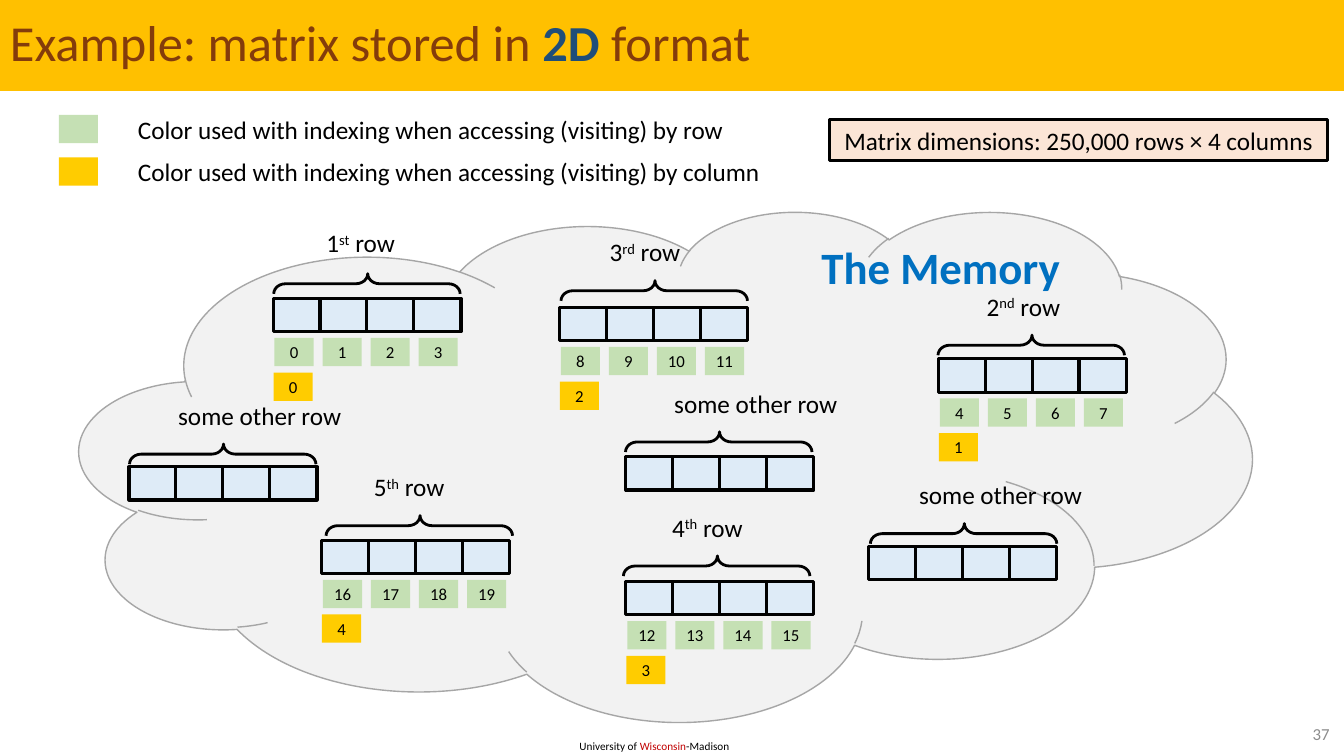
from pptx import Presentation
from pptx import util as u
from pptx.dml.color import RGBColor
from pptx.enum import shapes, text

BLACK = RGBColor(0, 0, 0)
AMBER = RGBColor(0xFF, 0xC0, 0x00)
BROWN = RGBColor(0x84, 0x3C, 0x0B)
NAVY = RGBColor(0x1F, 0x4E, 0x79)
BLUE = RGBColor(0x00, 0x70, 0xC0)
RED = RGBColor(0xC0, 0x00, 0x00)
GREY = RGBColor(0x8C, 0x8C, 0x8C)
CLOUD_FILL = RGBColor(0xF2, 0xF2, 0xF2)
CLOUD_EDGE = RGBColor(0xA6, 0xA6, 0xA6)
CELL = RGBColor(0xDE, 0xEB, 0xF7)
BY_ROW = RGBColor(0xC5, 0xE0, 0xB4)
BY_COLUMN = RGBColor(0xFF, 0xCC, 0x00)
PEACH = RGBColor(0xFB, 0xE5, 0xD6)

RECT = shapes.MSO_SHAPE.RECTANGLE
LEFT, CENTER, RIGHT = text.PP_ALIGN.LEFT, text.PP_ALIGN.CENTER, text.PP_ALIGN.RIGHT
TOP, MIDDLE = text.MSO_ANCHOR.TOP, text.MSO_ANCHOR.MIDDLE

deck = Presentation()
deck.slide_width, deck.slide_height = u.Pt(960), u.Pt(540)
slide = deck.slides.add_slide(deck.slide_layouts[6])


def draw(kind, x, y, w, h, fill=None, edge=None, weight=2.25):
    part = slide.shapes.add_shape(kind, u.Pt(x), u.Pt(y), u.Pt(w), u.Pt(h))
    part.shadow.inherit = False
    if fill is None:
        part.fill.background()
    else:
        part.fill.solid()
        part.fill.fore_color.rgb = fill
    if edge is None:
        part.line.fill.background()
    else:
        part.line.color.rgb = edge
        part.line.width = u.Pt(weight)
    return part


def write(*pieces, at=None, host=None, size=18, color=BLACK, bold=False,
          align=LEFT, anchor=TOP, wrap=True, spacing=None):
    if host is None:
        host = slide.shapes.add_textbox(*[u.Pt(v) for v in at])
    frame = host.text_frame
    frame.word_wrap = wrap
    frame.vertical_anchor = anchor
    line = frame.paragraphs[0]
    line.alignment = align
    line.line_spacing = spacing
    for piece in pieces:
        words, style = (piece, {}) if isinstance(piece, str) else piece
        run = line.add_run()
        run.text = words
        run.font.name = "Calibri"
        run.font.size = u.Pt(size)
        run.font.bold = style.get("bold", bold)
        run.font.color.rgb = style.get("color", color)
        if style.get("raised"):
            run.font._element.set("baseline", "30000")


write("University of ", ("Wisconsin", {"color": RED}), "-Madison",
      at=(406.8, 524.2, 123.8, 17), size=8)
draw(shapes.MSO_SHAPE.CLOUD, 56.9, 150.5, 837.4, 364.3, CLOUD_FILL, CLOUD_EDGE, 1)
title = draw(RECT, 0, 0, 960, 65, AMBER)
write("Example: matrix stored in ", ("2D", {"color": NAVY, "bold": True}), " format",
      host=title, size=36, color=BROWN, anchor=MIDDLE, spacing=0.9)
write("37", at=(902.2, 513.4, 54.7, 20.9), size=12, color=GREY, align=RIGHT, anchor=MIDDLE)

write("The Memory", at=(579.6, 167.8, 186.5, 46), size=32, color=BLUE, bold=True, wrap=False)
dimensions = draw(RECT, 592.6, 85.7, 355.7, 28.8, PEACH, BLACK)
write("Matrix dimensions: 250,000 rows × 4 columns",
      host=dimensions, align=CENTER, anchor=MIDDLE, wrap=False)

legend = [("row", BY_ROW), ("column", BY_COLUMN)]
for i, (order, swatch) in enumerate(legend):
    draw(RECT, 42, 82 + 30.4 * i, 28, 20.2, swatch)
    write(f"Color used with indexing when accessing (visiting) by {order}",
          at=(91.4, 77.8 + 30.4 * i, 466, 28.8))

OTHER = ("some other row",)
matrix_rows = [
    (("1", "st"), (195.1, 213.1), (226.1, 159.1), (254.9, 136.1), 0),
    (("2", "nd"), (670.3, 256.3), (697.7, 204.5), (729.4, 180), 1),
    (("3", "rd"), (399.6, 219.6), (428.4, 165.6), (460.1, 141.1), 2),
    (("4", "th"), (447.1, 415.4), (473, 362.2), (504.7, 337.7), 3),
    (("5", "th"), (229.7, 385.9), (259.9, 333.4), (292.3, 308.9), 4),
    (OTHER, (92.2, 333.4), (120.2, 282.2), (151.9, 257.8), None),
    (OTHER, (447.1, 326.2), (474.5, 273.6), (506.2, 249.1), None),
    (OTHER, (620.6, 390.2), (649.4, 339.1), (681.1, 314.6), None),
]
for label, (x, y), (label_x, label_y), (brace_x, brace_y), index in matrix_rows:
    for column in range(4):
        draw(RECT, x + 33.5 * column, y, 33.8, 23.8, CELL, BLACK)
    brace = draw(shapes.MSO_SHAPE.LEFT_BRACE, brace_x, brace_y, 14.4, 133.2, None, BLACK, 2)
    brace.rotation = 90
    brace.adjustments[0], brace.adjustments[1] = 0.585, 0.496
    if index is None:
        write(*label, at=(label_x, label_y, 132.5, 28.8), wrap=False)
        continue
    number, suffix = label
    write(number, (suffix, {"raised": True}), " row",
          at=(label_x, label_y, 67, 28.8), wrap=False)
    tags = [(1 + 34.3 * c, 28.2, BY_ROW, 4 * index + c) for c in range(4)]
    tags.append((0.3, 53, BY_COLUMN, index))
    for dx, dy, fill, value in tags:
        tag = draw(RECT, x + dx, y + dy, 28, 20.2, fill)
        write(str(value), host=tag, size=12, align=CENTER, anchor=MIDDLE, wrap=False)

deck.save("out.pptx")
